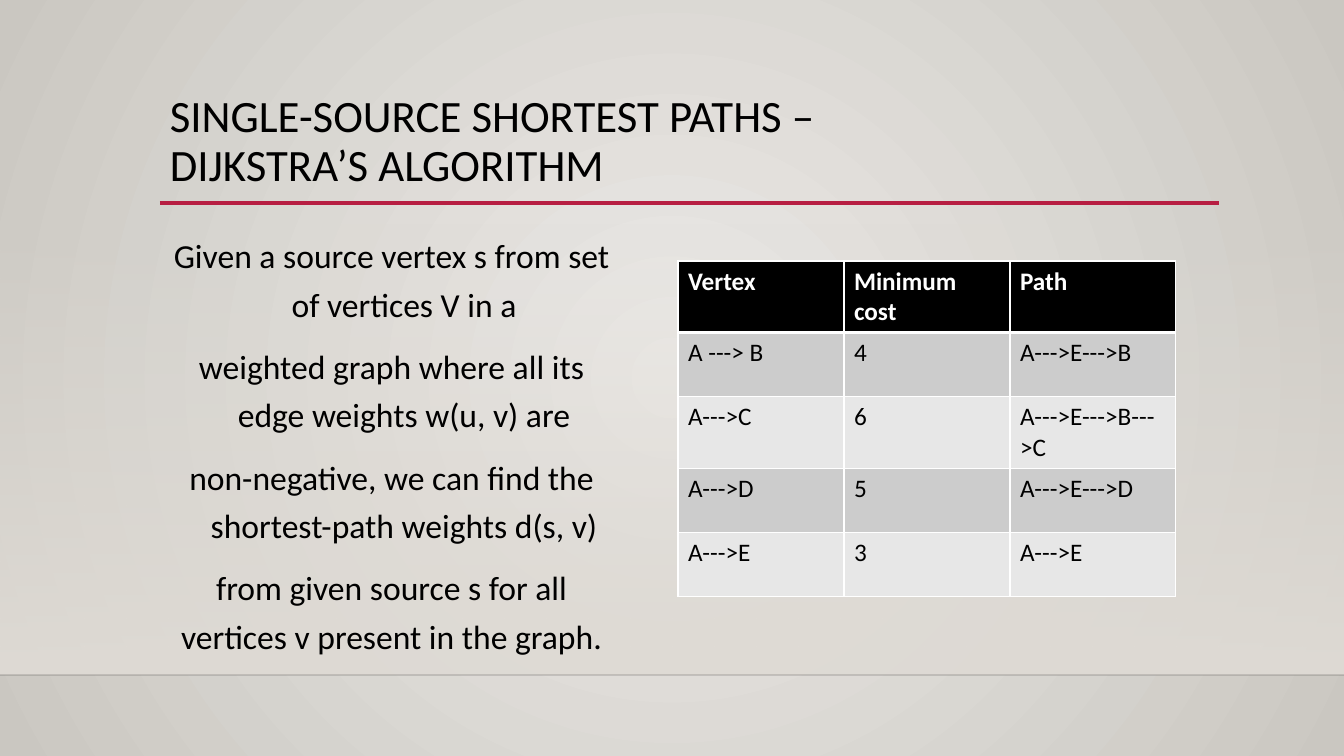
"""Build the slide on Dijkstra's single-source shortest paths."""
from lxml.etree import SubElement
from pptx import Presentation
from pptx.dml.color import RGBColor
from pptx.enum.shapes import MSO_CONNECTOR, MSO_SHAPE
from pptx.enum.text import MSO_ANCHOR, MSO_AUTO_SIZE, PP_ALIGN
from pptx.oxml.ns import qn
from pptx.util import Pt

PX = 12192000 / 1344


def color(hex_code):
    return RGBColor.from_string(hex_code)


def write(frame, lines, size, fill="000000", bold=False, align=PP_ALIGN.LEFT,
          spacing=1.0, before=0, hanging=()):
    frame.word_wrap = True
    for index, line in enumerate(lines):
        paragraph = frame.paragraphs[0] if index == 0 else frame.add_paragraph()
        paragraph.alignment = align
        paragraph.line_spacing = spacing
        paragraph.space_before = Pt(before)
        if index in hanging:
            paragraph._p.get_or_add_pPr().set("marL", str(round(25 * PX)))
            paragraph._p.get_or_add_pPr().set("indent", str(round(-25 * PX)))
        run = paragraph.add_run()
        run.text = line
        run.font.name = "Calibri"
        run.font.size = Pt(size)
        run.font.bold = bold
        run.font.color.rgb = color(fill)


deck = Presentation()
deck.slide_width = round(1344 * PX)
deck.slide_height = round(756 * PX)
slide = deck.slides.add_slide(deck.slide_layouts[6])

backdrop = slide.background.fill
backdrop.gradient()
for stop, shade in zip(backdrop.gradient_stops, ("ECEAE7", "CAC7C1")):
    stop.color.rgb = color(shade)
glow = slide._element.find(".//" + qn("a:gradFill"))
glow.remove(glow.find(qn("a:lin")))
circle = SubElement(glow, qn("a:path"))
circle.set("path", "circle")
center = SubElement(circle, qn("a:fillToRect"))
for side in "ltrb":
    center.set(side, "50000")

wall = slide.shapes.add_shape(
    MSO_SHAPE.RECTANGLE, 0, round(223 * PX), round(1344 * PX), round(452 * PX))
wall.shadow.inherit = False
wall.line.fill.background()
wall.fill.gradient()
wall.fill.gradient_angle = 270
for stop in wall.fill.gradient_stops:
    stop.color.rgb = color("DFDBD5")
clear_stop = wall._element.find(".//" + qn("a:gs"))
SubElement(clear_stop[0], qn("a:alpha")).set("val", "0")

for left, right, top, shade, width, opacity in (
        (0, 1344, 675, "000001", 1, 20), (160, 1219, 203, "B71E42", 2.5, 100)):
    rule = slide.shapes.add_connector(
        MSO_CONNECTOR.STRAIGHT, *(round(n * PX) for n in (left, top, right, top)))
    rule.line.color.rgb = color(shade)
    rule.line.width = Pt(width)
    ink = rule._element.find(".//" + qn("a:srgbClr"))
    SubElement(ink, qn("a:alpha")).set("val", str(opacity * 1000))
    SubElement(rule._element.spPr, qn("a:effectLst"))

title_lines = ["SINGLE-SOURCE SHORTEST PATHS –", "DIJKSTRA’S ALGORITHM"]
explanation = [
    "Given a source vertex s from set of vertices V in a",
    "weighted graph where all its edge weights w(u, v) are",
    "non-negative, we can find the shortest-path weights d(s, v)",
    "from given source s for all vertices v present in the graph.",
]
for box, lines, style in (
        ((160, 89, 1058, 116), title_lines, dict(size=32, spacing=0.9)),
        ((160, 222, 463, 380), explanation,
         dict(size=24, align=PP_ALIGN.CENTER, spacing=1.2, before=10,
              hanging=(0, 1, 2)))):
    frame = slide.shapes.add_textbox(*(round(n * PX) for n in box)).text_frame
    frame.auto_size = MSO_AUTO_SIZE.NONE
    frame.vertical_anchor = MSO_ANCHOR.TOP
    write(frame, lines, **style)

costs = [
    ("Vertex", "Minimum cost", "Path"),
    ("A ---> B", "4", "A--->E--->B"),
    ("A--->C", "6", "A--->E--->B--->C"),
    ("A--->D", "5", "A--->E--->D"),
    ("A--->E", "3", "A--->E"),
]
cost_table = slide.shapes.add_table(
    len(costs), 3, *(round(n * PX) for n in (678, 261, 498, 320))).table
for row, values in enumerate(costs):
    header = row == 0
    band = "000000" if header else ("E7E7E7", "CCCCCC")[row % 2]
    for column, value in enumerate(values):
        cell = cost_table.cell(row, column)
        for edge in "LRTB":
            thick = (row, edge) in ((0, "B"), (1, "T"))
            border = SubElement(cell._tc.get_or_add_tcPr(), qn("a:ln" + edge))
            border.set("w", str(Pt(3 if thick else 1)))
            SubElement(SubElement(border, qn("a:solidFill")),
                       qn("a:srgbClr")).set("val", "FFFFFF")
        cell.fill.solid()
        cell.fill.fore_color.rgb = color(band)
        write(cell.text_frame, [value], 18, bold=header,
              fill="FFFFFF" if header else "000000")

deck.save("out.pptx")
